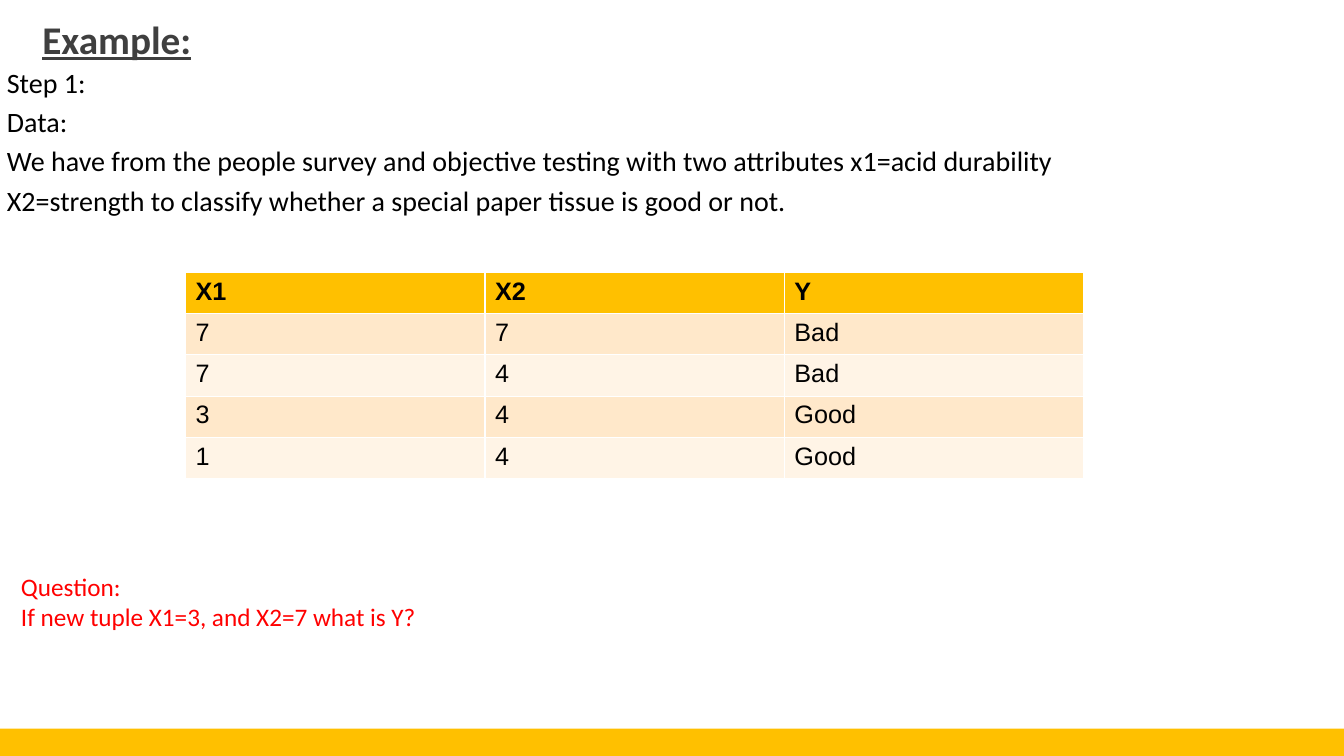
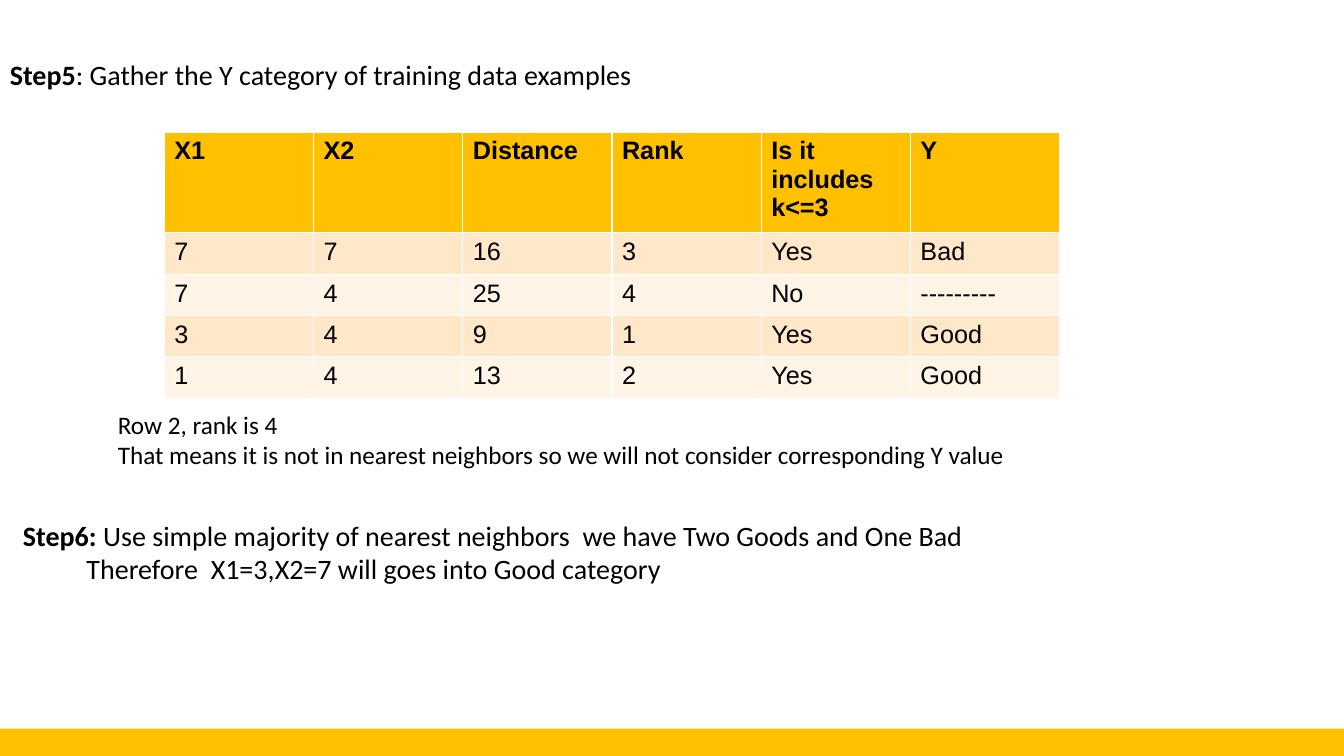
from dataclasses import dataclass

from pptx import Presentation
from pptx.dml.color import RGBColor
from pptx.enum.shapes import MSO_SHAPE
from pptx.enum.text import MSO_ANCHOR, PP_ALIGN
from pptx.util import Inches, Pt


@dataclass(frozen=True)
class Theme:
    gold: RGBColor = RGBColor(0xFF, 0xC0, 0x00)
    row_dark: RGBColor = RGBColor(0xFF, 0xE8, 0xCA)
    row_light: RGBColor = RGBColor(0xFF, 0xF4, 0xE6)
    title: RGBColor = RGBColor(0x3F, 0x3F, 0x3F)
    black: RGBColor = RGBColor(0, 0, 0)
    red: RGBColor = RGBColor(0xFF, 0, 0)
    text_font: str = "Calibri"
    table_font: str = "Arial"
    title_size: Pt = Pt(28)
    body_size: Pt = Pt(20)
    small_size: Pt = Pt(18)


T = Theme()


def add_text(s, box, lines, size, color=T.black, align=None, gap=0):
    """Add a text box; each line is a pair of bold lead and plain text."""
    tf = s.shapes.add_textbox(*map(Inches, box)).text_frame
    tf.word_wrap = True
    for i, (lead, rest) in enumerate(lines):
        p = tf.paragraphs[0] if i == 0 else tf.add_paragraph()
        p.font.name, p.font.size, p.font.color.rgb = T.text_font, size, color
        p.alignment = align
        p.space_before = Pt(gap if i else 0)
        if lead:
            r = p.add_run()
            r.text, r.font.bold = lead, True
        p.add_run().text = rest
    return tf


def add_data_table(s, left, top, col_width, rows, header_height=0.41):
    row_height = 0.41
    n_rows, n_cols = len(rows), len(rows[0])
    height = header_height + row_height * (n_rows - 1)
    table = s.shapes.add_table(n_rows, n_cols, Inches(left), Inches(top),
                               Inches(col_width * n_cols), Inches(height)).table
    for col in table.columns:
        col.width = Inches(col_width)
    for i, values in enumerate(rows):
        table.rows[i].height = Inches(row_height if i else header_height)
        fill = T.gold if i == 0 else T.row_dark if i % 2 else T.row_light
        for j, value in enumerate(values):
            cell = table.cell(i, j)
            cell.fill.solid()
            cell.fill.fore_color.rgb = fill
            cell.text = value
            font = cell.text_frame.paragraphs[0].font
            font.name, font.size, font.bold = T.table_font, T.small_size, i == 0
            font.color.rgb = T.black


prs = Presentation()
prs.slide_width, prs.slide_height = Inches(13.33), Inches(7.5)
data_slide = prs.slides.add_slide(prs.slide_layouts.get_by_name("Title Only"))
vote_slide = prs.slides.add_slide(prs.slide_layouts.get_by_name("Blank"))

for s in prs.slides:
    band = s.shapes.add_shape(MSO_SHAPE.RECTANGLE, Inches(-0.02), Inches(7.23),
                              Inches(13.35), Inches(0.27))
    band.shadow.inherit = False
    band.fill.solid()
    band.fill.fore_color.rgb = T.gold
    band.line.fill.background()

# Slide 1: training data and question
title = data_slide.shapes.title
title.left, title.top = Inches(0.32), Inches(0.07)
title.width, title.height = Inches(9.16), Inches(0.63)
tf = title.text_frame
tf.text = "Example:"
tf.vertical_anchor = MSO_ANCHOR.MIDDLE
p = tf.paragraphs[0]
p.alignment = PP_ALIGN.JUSTIFY
p.font.name, p.font.size, p.font.color.rgb = T.text_font, T.title_size, T.title
p.font.bold = p.font.underline = True

add_text(data_slide, (-0.03, 0.6, 13.23, 6.61), [
    ("", "Step 1:"),
    ("", "Data:"),
    ("", "We have from the people survey and objective testing with two attributes x1=acid durability"),
    ("", "X2=strength to classify whether a special paper tissue is good or not."),
], T.body_size, align=PP_ALIGN.JUSTIFY, gap=4)
add_data_table(data_slide, 1.84, 2.7, 2.97, [
    ("X1", "X2", "Y"),
    ("7", "7", "Bad"),
    ("7", "4", "Bad"),
    ("3", "4", "Good"),
    ("1", "4", "Good"),
])
add_text(data_slide, (0.11, 5.62, 8.45, 0.72), [
    ("", "Question:"),
    ("", "If new tuple X1=3, and X2=7 what is Y?"),
], T.small_size, T.red)

# Slide 2: nearest neighbors and majority vote
add_text(vote_slide, (0, 0.52, 13.33, 6.69), [
    ("Step5", ": Gather the Y category of training data examples"),
], T.body_size, align=PP_ALIGN.JUSTIFY)
add_data_table(vote_slide, 1.63, 1.31, 1.48, [
    ("X1", "X2", "Distance", "Rank", "Is it includes k<=3", "Y"),
    ("7", "7", "16", "3", "Yes", "Bad"),
    ("7", "4", "25", "4", "No", "---------"),
    ("3", "4", "9", "1", "Yes", "Good"),
    ("1", "4", "13", "2", "Yes", "Good"),
], header_height=0.92)
add_text(vote_slide, (1.07, 4.01, 10.39, 0.71), [
    ("", "Row 2, rank is 4"),
    ("", "That means it is not in nearest neighbors so we will not consider corresponding Y value"),
], T.small_size)
tf = add_text(vote_slide, (0.13, 5.09, 11.73, 0.77), [
    ("Step6: ", "Use simple majority of nearest neighbors  we have Two Goods and One Bad"),
    ("", "Therefore  X1=3,X2=7 will goes into Good category"),
], T.body_size)
tf.paragraphs[1]._p.get_or_add_pPr().set("marL", str(Inches(0.63)))

prs.save("out.pptx")
